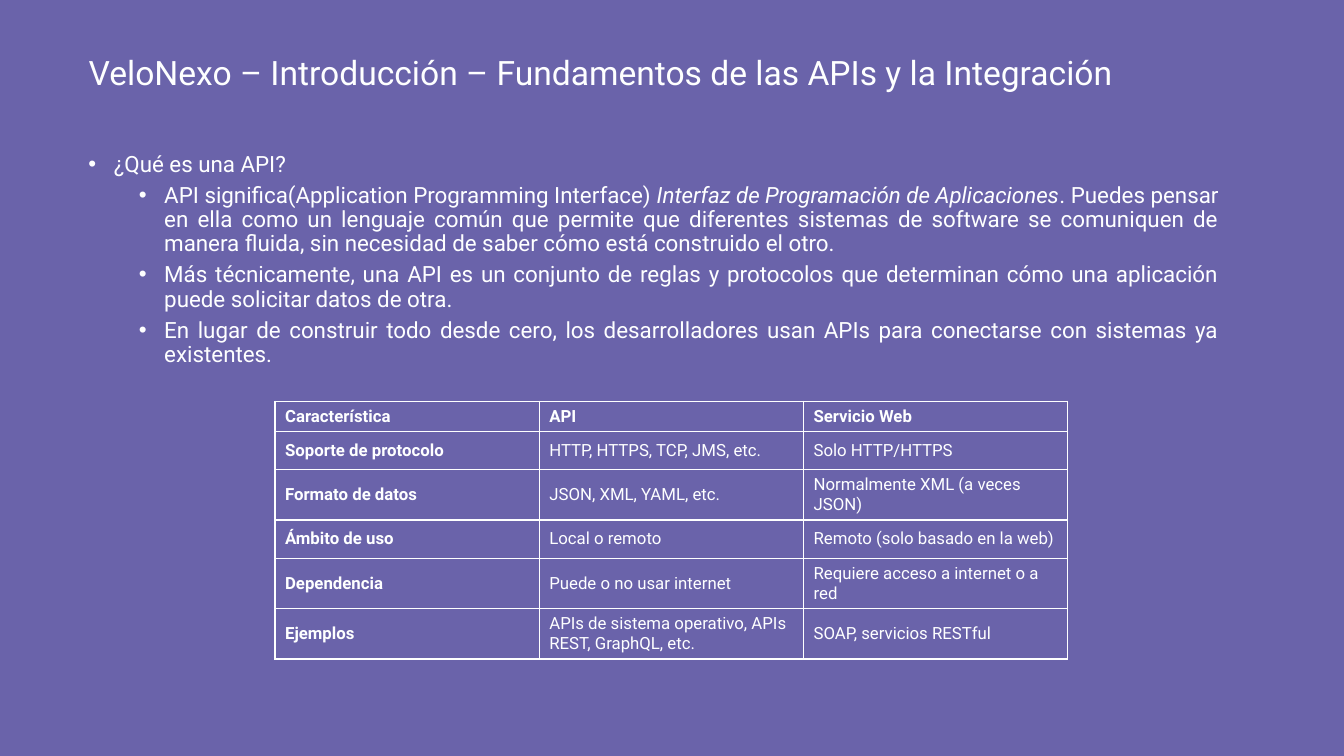
from pptx import Presentation
from pptx.dml.color import RGBColor
from pptx.enum.text import MSO_ANCHOR as Anchor, MSO_AUTO_SIZE as AutoSize, PP_ALIGN as Align
from pptx.oxml.ns import qn
from pptx.util import Cm, Pt
from lxml.etree import SubElement

FONT = "Roboto"
WHITE = "FEFFFF"
PURPLE = "6A63AA"

TITLE = "VeloNexo – Introducción – Fundamentos de las APIs y la Integración"

# Each point: level, then its pieces of text; every second piece is italic
POINTS = [
    (0, ["¿Qué es una API?"]),
    (1, ["API significa(Application Programming Interface) ",
         "Interfaz de Programación de Aplicaciones",
         ". Puedes pensar en ella como un lenguaje común que permite que diferentes "
         "sistemas de software se comuniquen de manera fluida, sin necesidad de saber "
         "cómo está construido el otro."]),
    (1, ["Más técnicamente, una API es un conjunto de reglas y protocolos que determinan "
         "cómo una aplicación puede solicitar datos de otra."]),
    (1, ["En lugar de construir todo desde cero, los desarrolladores usan APIs para "
         "conectarse con sistemas ya existentes."]),
]

COMPARISON = [
    ("Característica", "API", "Servicio Web"),
    ("Soporte de protocolo", "HTTP, HTTPS, TCP, JMS, etc.", "Solo HTTP/HTTPS"),
    ("Formato de datos", "JSON, XML, YAML, etc.", "Normalmente XML (a veces JSON)"),
    ("Ámbito de uso", "Local o remoto", "Remoto (solo basado en la web)"),
    ("Dependencia", "Puede o no usar internet", "Requiere acceso a internet o a red"),
    ("Ejemplos", "APIs de sistema operativo, APIs REST, GraphQL, etc.",
     "SOAP, servicios RESTful"),
]
ROW_HEIGHTS = [0.76, 0.96, 1.27, 0.96, 1.27, 1.27]
COLUMN_WIDTH = 6.66


def color(hex_value):
    return RGBColor.from_string(hex_value)


def style_font(font, size, bold=False, italic=False):
    font.name = FONT
    font.size = Pt(size)
    font.bold = bold
    font.italic = italic
    font.color.rgb = color(WHITE)


def place_title(slide):
    title = slide.shapes.title
    title.left, title.top, title.width, title.height = Cm(1.98), Cm(0.05), Cm(29.21), Cm(3.68)
    frame = title.text_frame
    frame.text = TITLE
    frame.auto_size = AutoSize.NONE
    frame.vertical_anchor = Anchor.MIDDLE
    heading = frame.paragraphs[0]
    heading.alignment = Align.LEFT
    heading.line_spacing = 0.9
    style_font(heading.runs[0].font, 24)


def add_bullet(paragraph, level):
    properties = paragraph._p.get_or_add_pPr()
    properties.set("marL", str(Cm(0.64 + 1.27 * level)))
    properties.set("indent", str(-Cm(0.64)))
    SubElement(properties, qn("a:buFont"), typeface="Arial")
    SubElement(properties, qn("a:buChar"), char="•")


def add_points(slide):
    frame = slide.shapes.add_textbox(Cm(1.98), Cm(3.73), Cm(28.98), Cm(6.38)).text_frame
    frame.word_wrap = True
    for index, (level, pieces) in enumerate(POINTS):
        point = frame.add_paragraph() if index else frame.paragraphs[0]
        point.level = level
        point.alignment = Align.JUSTIFY
        add_bullet(point, level)
        point.line_spacing = 0.9
        point.space_before = Pt(5 if index else 0)
        for position, piece in enumerate(pieces):
            run = point.add_run()
            run.text = piece
            style_font(run.font, 16, italic=position % 2 == 1)


def add_borders(cell):
    properties = cell._tc.get_or_add_tcPr()
    for side in ("a:lnL", "a:lnR", "a:lnT", "a:lnB"):
        line = SubElement(properties, qn(side), w=str(Pt(1)))
        fill = SubElement(line, qn("a:solidFill"))
        SubElement(fill, qn("a:srgbClr"), val=WHITE)


def add_comparison(slide):
    columns = len(COMPARISON[0])
    table = slide.shapes.add_table(
        len(COMPARISON), columns, Cm(6.93), Cm(10.11),
        Cm(COLUMN_WIDTH * columns), Cm(sum(ROW_HEIGHTS))).table
    table.horz_banding = False
    for column in table.columns:
        column.width = Cm(COLUMN_WIDTH)
    for row_index, (row, height) in enumerate(zip(table.rows, ROW_HEIGHTS)):
        row.height = Cm(height)
        for column_index, cell in enumerate(row.cells):
            add_borders(cell)
            cell.fill.background()
            cell.vertical_anchor = Anchor.MIDDLE
            cell.text_frame.text = COMPARISON[row_index][column_index]
            is_header = row_index == 0 or column_index == 0
            style_font(cell.text_frame.paragraphs[0].runs[0].font, 12, bold=is_header)


def main():
    presentation = Presentation()
    presentation.slide_width, presentation.slide_height = Cm(33.87), Cm(19.05)
    slide = presentation.slides.add_slide(presentation.slide_layouts[5])

    # Background
    background = slide.background.fill
    background.solid()
    background.fore_color.rgb = color(PURPLE)

    # Title, explanation and comparison table
    place_title(slide)
    add_points(slide)
    add_comparison(slide)
    presentation.save("out.pptx")


if __name__ == "__main__":
    main()
